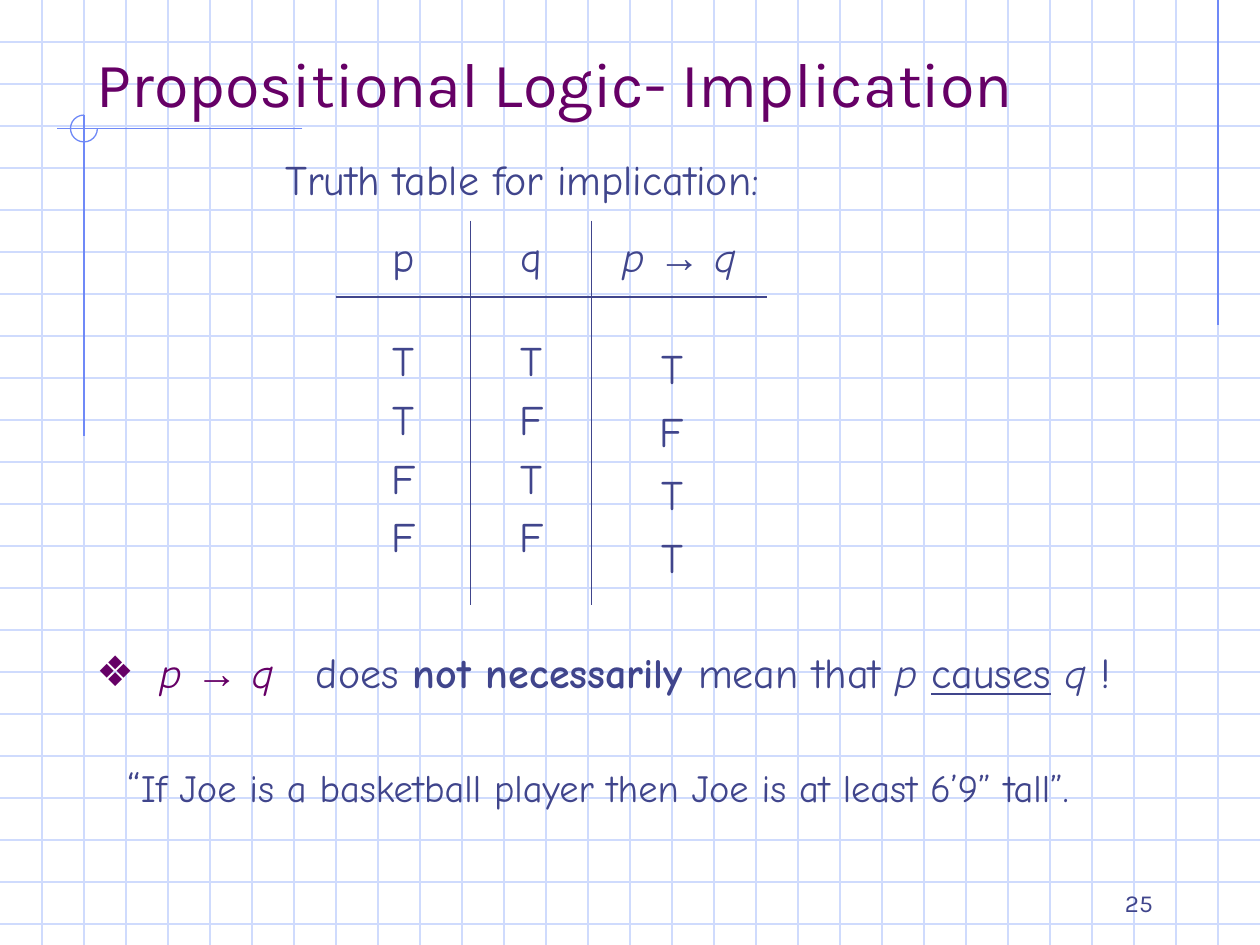
from dataclasses import dataclass

import pptx
import pptx.dml.color
import pptx.enum.shapes
import pptx.enum.text
import pptx.oxml
import pptx.oxml.ns
import pptx.util
from lxml import etree

COLORS = {"grid": "CFDBFD", "guide": "6F89F7", "text": "40458C", "accent": "660066"}
BODY_FONT, TITLE_FONT, SYMBOL_FONT = "Comic Neue", "Karla", "Arial"
ALIGN = pptx.enum.text.PP_ALIGN
ANCHOR = pptx.enum.text.MSO_ANCHOR
COLUMNS, ROWS = 30, 22.5  # squares of the graph paper
NO_STYLE = "{2D5ABB26-0587-4C30-8999-92F81FD0307C}"


@dataclass
class Line:
    """A straight line between two points, in grid squares."""
    x1: float
    y1: float
    x2: float
    y2: float
    color: str


@dataclass
class Box:
    """A rectangle in grid squares."""
    left: float
    top: float
    width: float
    height: float

    def lengths(self) -> list:
        return [squares(n) for n in (self.left, self.top, self.width, self.height)]


def squares(count: float) -> int:
    return pptx.util.Emu(round(count * pptx.util.Inches(10) / COLUMNS))


def rgb(name: str):
    return pptx.dml.color.RGBColor.from_string(COLORS[name])


def add_text(paragraph, text: str, *, size=24, color="text", font=BODY_FONT,
             bold=False, italic=False, underline=False, tracking=0) -> None:
    run = paragraph.add_run()
    run.text = text
    run.font.size = pptx.util.Pt(size)
    run.font.name = font
    run.font.color.rgb = rgb(color)
    run.font.bold, run.font.italic, run.font.underline = bold, italic, underline
    if tracking:
        run.font._element.set("spc", str(tracking * 100))


def add_implication(paragraph, **style) -> None:
    add_text(paragraph, "p ", italic=True, **style)
    add_text(paragraph, "→", font=SYMBOL_FONT, **style)
    add_text(paragraph, " q", italic=True, **style)


def add_values(frame, values: str, gap: float) -> None:
    """One centred truth value per paragraph."""
    for index, value in enumerate(values):
        paragraph = frame.add_paragraph() if index else frame.paragraphs[0]
        paragraph.alignment = ALIGN.CENTER
        if index:
            paragraph.space_before = pptx.util.Pt(gap)
        add_text(paragraph, value)


def add_box(slide, box: Box, anchor=ANCHOR.TOP):
    frame = slide.shapes.add_textbox(*box.lengths()).text_frame
    frame.word_wrap = True
    frame.vertical_anchor = anchor
    return frame


def add_line(slide, line: Line):
    connector = slide.shapes.add_connector(
        pptx.enum.shapes.MSO_CONNECTOR.STRAIGHT,
        *[squares(n) for n in (line.x1, line.y1, line.x2, line.y2)])
    connector.line.color.rgb = rgb(line.color)
    connector.line.width = pptx.util.Pt(0.75)
    etree.SubElement(connector.element.spPr, pptx.oxml.ns.qn("a:effectLst"))
    return connector


def set_border(cell, side: str, width: float) -> None:
    """Draw one cell border; a width of 0 hides it."""
    fill = (f'<a:solidFill><a:srgbClr val="{COLORS["text"]}"/></a:solidFill>'
            if width else "<a:noFill/>")
    cell._tc.get_or_add_tcPr().append(pptx.oxml.parse_xml(
        f'<a:ln{side} {pptx.oxml.ns.nsdecls("a")} w="{pptx.util.Pt(width)}">'
        f"{fill}</a:ln{side}>"))


def set_indent(paragraph, left: float, first: float, bullet: str = "") -> None:
    properties = paragraph._p.get_or_add_pPr()
    properties.set("marL", str(pptx.util.Inches(left)))
    properties.set("indent", str(pptx.util.Inches(first)))
    if bullet:
        for xml in (f'<a:buClr {{}}><a:srgbClr val="{COLORS["accent"]}"/></a:buClr>',
                    f'<a:buFont {{}} typeface="{SYMBOL_FONT}"/>',
                    f'<a:buChar {{}} char="{bullet}"/>'):
            properties.append(pptx.oxml.parse_xml(xml.format(pptx.oxml.ns.nsdecls("a"))))


def add_truth_table(slide) -> None:
    widths, heights = (3.21, 2.88, 4.17), (1.83, 7.32)
    box = Box(8, 5.25, sum(widths), sum(heights))
    table = slide.shapes.add_table(2, 3, *box.lengths()).table
    table.first_row = table.horz_banding = False
    table._tbl.tblPr.find(pptx.oxml.ns.qn("a:tableStyleId")).text = NO_STYLE
    for column, width in zip(table.columns, widths):
        column.width = squares(width)
    for row, height in zip(table.rows, heights):
        row.height = squares(height)
    for row in range(2):
        for column in range(3):
            cell = table.cell(row, column)
            cell.vertical_anchor = ANCHOR.MIDDLE
            set_border(cell, "L", 0.45 if column > 0 else 0)
            set_border(cell, "R", 0.45 if column < 2 else 0)
            set_border(cell, "T", 1.47 if row == 1 else 0)
            set_border(cell, "B", 1.47 if row == 0 else 0)
            cell.fill.background()
    for column, (heading, values) in enumerate((("p", "TTFF"), ("q", "TFTF"))):
        add_values(table.cell(0, column).text_frame, heading, 6)
        add_values(table.cell(1, column).text_frame, values, 6)
    heading = table.cell(0, 2).text_frame.paragraphs[0]
    heading.alignment = ALIGN.CENTER
    add_implication(heading)


def add_background(slide):
    """Graph paper, guide lines and the open circle; returns the top shape."""
    lines = [Line(0, y, COLUMNS, y, "grid") for y in range(1, 23)]
    lines += [Line(x, 0, x, ROWS, "grid") for x in range(1, COLUMNS)]
    lines += [Line(29, 0, 29, 7.75, "guide"),
              Line(7.2, 3.06, 1.35, 3.06, "guide"),
              Line(2, 2.75, 2, 10.38, "guide")]
    for line in lines:
        add_line(slide, line)
    arc = slide.shapes.add_shape(pptx.enum.shapes.MSO_SHAPE.ARC,
                                 *Box(1.68, 2.74, 0.64, 0.64).lengths())
    arc.adjustments[0], arc.adjustments[1] = 0, 162  # right, clockwise to the top
    arc.fill.background()
    arc.line.color.rgb = rgb("guide")
    arc.line.width = pptx.util.Pt(0.75)
    arc.shadow.inherit = False
    return arc


def main() -> None:
    presentation = pptx.Presentation()
    presentation.slide_width, presentation.slide_height = squares(COLUMNS), squares(ROWS)
    slide = presentation.slides.add_slide(presentation.slide_layouts[5])
    top_shape = add_background(slide)

    # Title, in front of the graph paper
    title = slide.shapes.title
    title.left, title.top, title.width, title.height = Box(2, 1, 25.5, 2).lengths()
    title.text_frame.auto_size = pptx.enum.text.MSO_AUTO_SIZE.NONE
    title.text_frame.vertical_anchor = ANCHOR.BOTTOM
    paragraph = title.text_frame.paragraphs[0]
    paragraph.alignment = ALIGN.LEFT
    add_text(paragraph, "Propositional Logic- Implication",
             size=36, color="accent", font=TITLE_FONT)
    top_shape.element.addnext(title.element)

    # Slide number
    paragraph = add_box(slide, Box(21.5, 21.25, 6.25, 0.75), ANCHOR.BOTTOM).paragraphs[0]
    paragraph.alignment = ALIGN.RIGHT
    add_text(paragraph, "25", size=14, font=TITLE_FONT)

    # Truth table, its result column and caption
    add_truth_table(slide)
    add_values(add_box(slide, Box(14.5, 8, 3, 5.85)), "TFTT", 7.2)
    caption = add_box(slide, Box(6.5, 3.5, 14.5, 1.5)).paragraphs[0]
    add_text(caption, "Truth table for implication:")

    # Remark
    remark = add_box(slide, Box(2, 15.25, 27.5, 1.5)).paragraphs[0]
    set_indent(remark, 0.5, -0.5, "❖")
    add_implication(remark, color="accent")
    add_text(remark, " ", tracking=16)
    add_text(remark, "does ")
    add_text(remark, "not necessarily ", bold=True)
    add_text(remark, "mean that ")
    add_text(remark, "p ", italic=True)
    add_text(remark, "causes", underline=True)
    add_text(remark, " ")
    add_text(remark, "q ", italic=True)
    add_text(remark, "!")

    # Example
    example = add_box(slide, Box(1.25, 17.95, 28, 1.5)).paragraphs[0]
    set_indent(example, 0.5, 0)
    add_text(example, "“")
    add_text(example, "If Joe is a basketball player then Joe is at least 6’9” tall”.", size=22)

    presentation.save("out.pptx")


if __name__ == "__main__":
    main()
